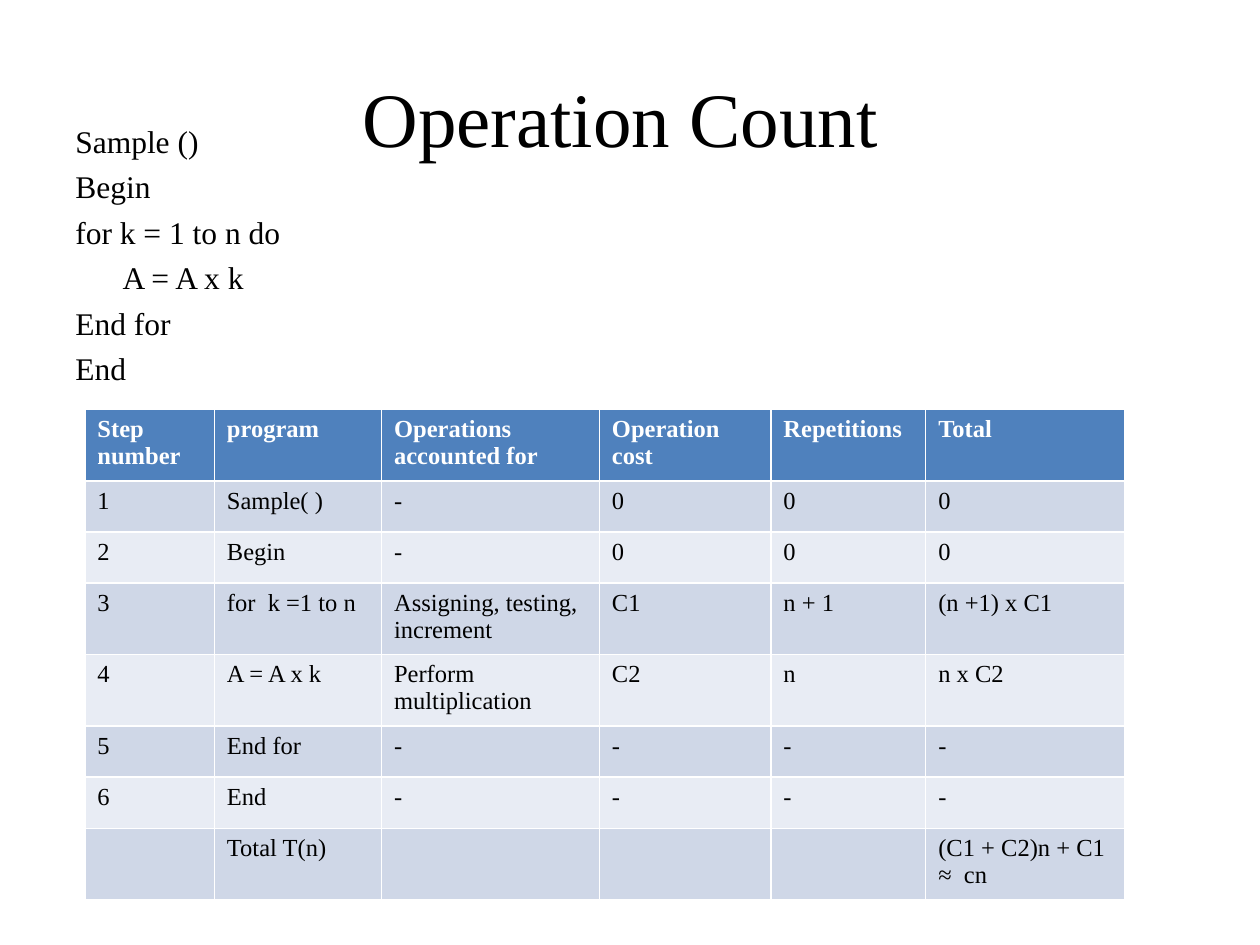
from pptx import Presentation
from pptx.dml.color import RGBColor as RGB
from pptx.enum.text import MSO_ANCHOR as Anchor, PP_ALIGN as Align
from pptx.util import Pt

COLORS = {"text": "000000", "header_text": "FFFFFF", "header": "4F81BD",
          "odd": "CFD7E7", "even": "E8ECF4"}
FONT = "Times New Roman"

CODE = ["Sample ()", "Begin", "for k = 1 to n do", "\tA = A x k", "End for", "End"]
COL_WIDTHS = [74, 95.5, 124.5, 98, 88.5, 114]
ROW_HEIGHT = 29.2
ROWS = [
    ["Step number", "program", "Operations accounted for", "Operation cost",
     "Repetitions", "Total"],
    ["1", "Sample( )", "-", "0", "0", "0"],
    ["2", "Begin", "-", "0", "0", "0"],
    ["3", "for  k =1 to n", "Assigning, testing, increment", "C1", "n + 1",
     "(n +1) x C1"],
    ["4", "A = A x k", "Perform multiplication", "C2", "n", "n x C2"],
    ["5", "End for", "-", "-", "-", "-"],
    ["6", "End", "-", "-", "-", "-"],
    ["", "Total T(n)", "", "", "", "(C1 + C2)n + C1\n≈  cn"],
]


def format_text(tf, size, color="text", bold=False):
    values = {"name": FONT, "size": Pt(size), "bold": bold}
    for p in tf.paragraphs:
        for font in [p.font] + [r.font for r in p.runs]:
            for name, value in values.items():
                setattr(font, name, value)
            font.color.rgb = RGB.from_string(COLORS[color])


def add_text(s, box, text, size):
    tf = s.shapes.add_textbox(*map(Pt, box)).text_frame
    tf.word_wrap = True
    tf.text = text
    format_text(tf, size)
    return tf


def add_title(s, box):
    tf = add_text(s, box, "Operation Count ", 44)
    tf.vertical_anchor = Anchor.MIDDLE
    tf.paragraphs[0].alignment = Align.CENTER


def add_code(s, box):
    tf = add_text(s, box, "\n".join(CODE), 18)
    for i, p in enumerate(tf.paragraphs):
        pPr = p._p.get_or_add_pPr()
        pPr.set("marL", str(Pt(27)))
        pPr.set("indent", str(Pt(-27)))
        if i:
            p.space_before = Pt(4.4)


def add_cost_table(s, left, top):
    box = (left, top, sum(COL_WIDTHS), ROW_HEIGHT * len(ROWS))
    table = s.shapes.add_table(len(ROWS), len(COL_WIDTHS), *map(Pt, box)).table
    for column, width in zip(table.columns, COL_WIDTHS):
        column.width = Pt(width)
    for i, row in enumerate(ROWS):
        table.rows[i].height = Pt(ROW_HEIGHT)
        fill = "header" if i == 0 else "odd" if i % 2 else "even"
        for j, text in enumerate(row):
            cell = table.cell(i, j)
            cell.text = text
            cell.fill.solid()
            cell.fill.fore_color.rgb = RGB.from_string(COLORS[fill])
            format_text(cell.text_frame, 14, "text" if i else "header_text", i == 0)


def main():
    prs = Presentation()
    prs.slide_width, prs.slide_height = Pt(720), Pt(540)
    s = prs.slides.add_slide(prs.slide_layouts[6])
    add_title(s, (36, 21.6, 648, 90))
    add_code(s, (36, 66, 144, 126))
    add_cost_table(s, 48.5, 234)
    prs.save("out.pptx")


if __name__ == "__main__":
    main()
